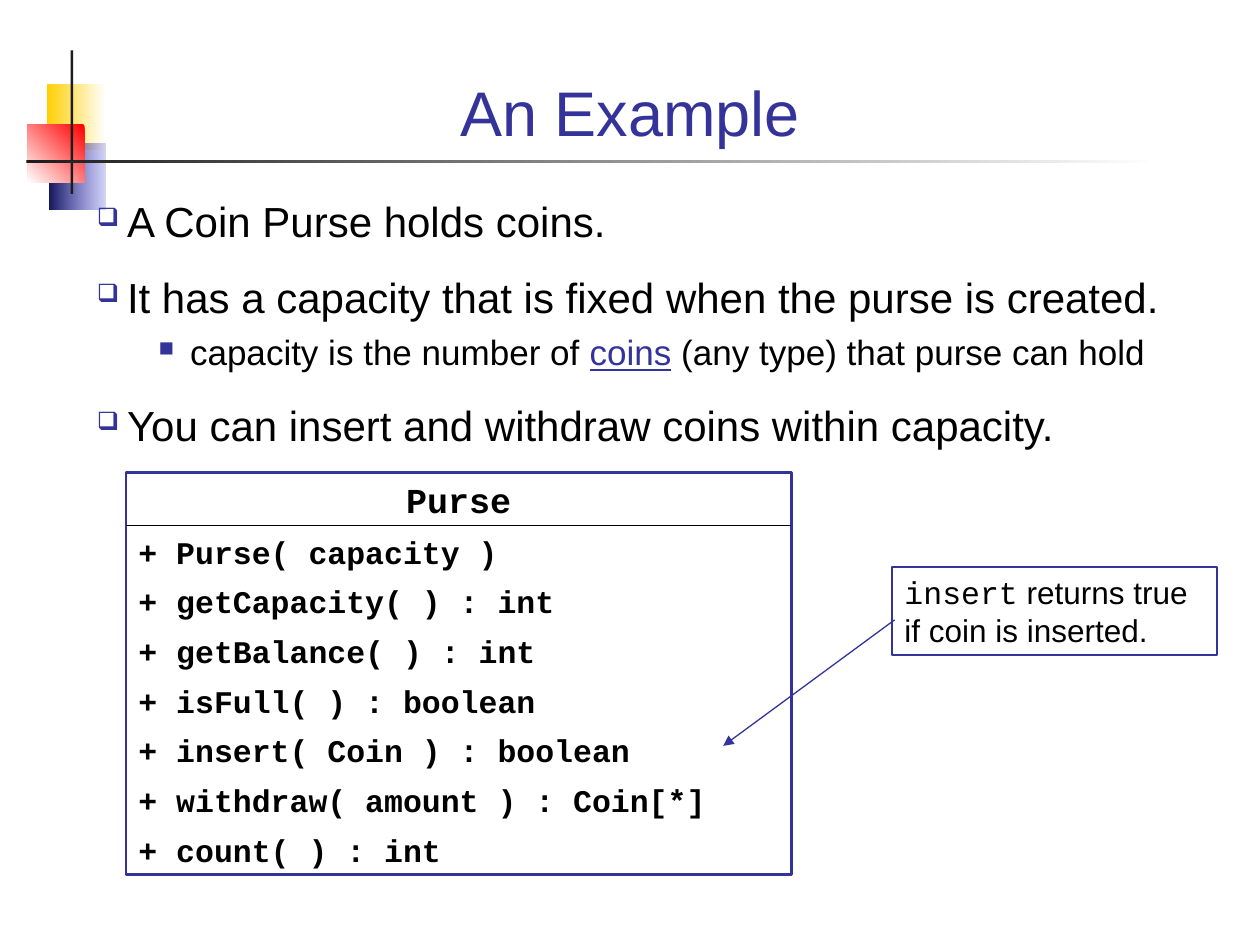
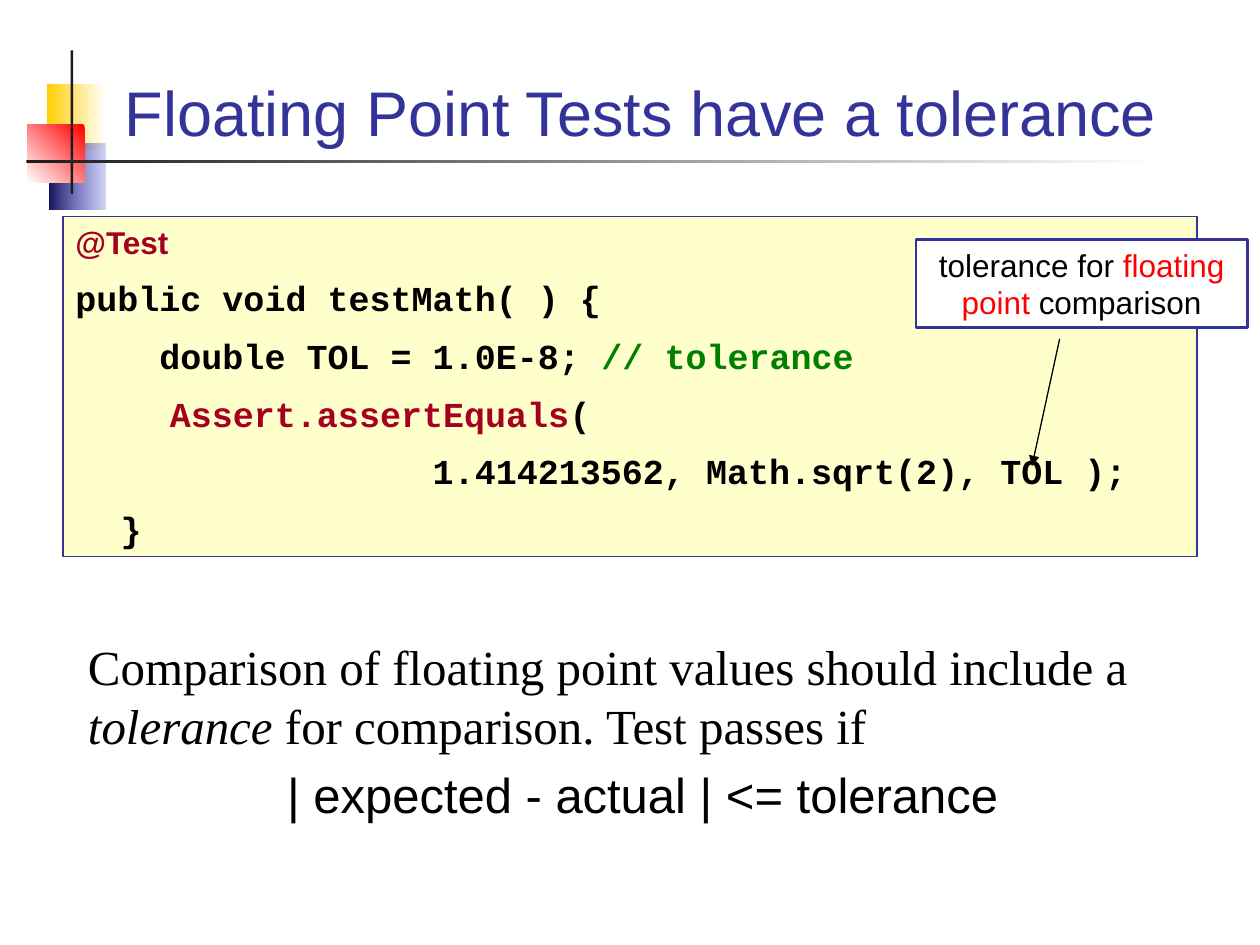
"""Builds two lecture slides: the coin purse class and floating point test tolerance."""
import pptx
import pptx.dml.color
import pptx.enum.shapes
import pptx.enum.text
import pptx.oxml.ns
import pptx.util
from lxml import etree

COLORS = {
    "ink": "000000", "accent": "333399", "paper": "FFFFFF", "code": "FFFFCC",
    "keyword": "A50021", "comment": "008000", "alert": "FF0000", "rule": "1C1C1C",
    "yellow": "FFCF01", "navy": "17175E", "blue": "3333CC",
}
SANS, MONO, SERIF = "Arial", "Courier New", "Times New Roman"
COLUMNS, ROWS = 100, 75
CENTER = pptx.enum.text.PP_ALIGN.CENTER
TOP, BOTTOM = pptx.enum.text.MSO_ANCHOR.TOP, pptx.enum.text.MSO_ANCHOR.BOTTOM
RECTANGLE = pptx.enum.shapes.MSO_SHAPE.RECTANGLE


def rgb(name):
    return pptx.dml.color.RGBColor.from_string(COLORS[name])


def add_xml(parent, tag, **attributes):
    return etree.SubElement(parent, pptx.oxml.ns.qn(tag), attributes)


def run(text, **style):
    return text, style


def para(*runs, **layout):
    return runs, layout


class Deck:
    def __init__(self):
        self.show = pptx.Presentation()
        self.show.slide_width = pptx.util.Inches(10)
        self.show.slide_height = pptx.util.Inches(7.5)
        self.slide = None

    def x(self, columns):
        return round(self.show.slide_width * columns / COLUMNS)

    def y(self, rows):
        return round(self.show.slide_height * rows / ROWS)

    def place(self, left, top, width, height):
        return self.x(left), self.y(top), self.x(width), self.y(height)

    def new_slide(self, title, title_width=86.6):
        self.slide = self.show.slides.add_slide(self.show.slide_layouts[6])
        self.gradient((3.7, 6.7, 4.7, 5.2), "yellow", "paper")
        self.gradient((3.9, 11.4, 4.5, 5.2), "navy", "blue", end_opacity=20)
        self.gradient((2.2, 9.9, 4.5, 4.6), "alert", "paper", angle=225)
        self.box((5.6, 4, 0.2, 11.4), fill="rule")
        self.gradient((2.1, 12.7, 89.8, 0.2), "rule", "paper")
        self.text((6.7, 2.8, title_width, 9.5), [para(run(title), align=CENTER)],
                  anchor=BOTTOM, size=36, color="accent")

    def box(self, area, fill=None, line=None, weight=0.75):
        shape = self.slide.shapes.add_shape(RECTANGLE, *self.place(*area))
        shape.shadow.inherit = False
        if fill:
            shape.fill.solid()
            shape.fill.fore_color.rgb = rgb(fill)
        else:
            shape.fill.background()
        if line:
            shape.line.color.rgb = rgb(line)
            shape.line.width = pptx.util.Pt(weight)
        else:
            shape.line.fill.background()
        return shape

    def gradient(self, area, start, end, angle=0, end_opacity=None):
        shape = self.box(area)
        shape.fill.gradient()
        shape.fill.gradient_angle = angle
        for stop, color in zip(shape.fill.gradient_stops, (start, end)):
            stop.color.rgb = rgb(color)
        if end_opacity:
            stops = list(shape.element.spPr.iter(pptx.oxml.ns.qn("a:srgbClr")))
            add_xml(stops[-1], "a:alpha", val=str(end_opacity * 1000))

    def text(self, area, paragraphs, anchor=TOP, **style):
        holder = self.slide.shapes.add_textbox(*self.place(*area))
        self.fill_text(holder, paragraphs, anchor, **style)

    def text_box(self, area, paragraphs, fill=None, weight=0.75, **style):
        holder = self.box(area, fill, "accent", weight)
        self.fill_text(holder, paragraphs, TOP, **style)

    def fill_text(self, holder, paragraphs, anchor, **style):
        frame = holder.text_frame
        frame.word_wrap = True
        frame.vertical_anchor = anchor
        for index, (runs, layout) in enumerate(paragraphs):
            paragraph = frame.add_paragraph() if index else frame.paragraphs[0]
            paragraph.alignment = layout.get("align", pptx.enum.text.PP_ALIGN.LEFT)
            if index:
                paragraph.space_before = pptx.util.Pt(layout.get("before", 0))
            self.indent(paragraph, layout)
            for content, changes in runs:
                piece = paragraph.add_run()
                piece.text = content
                self.style_font(piece.font, **{**style, **changes})

    def indent(self, paragraph, layout):
        properties = paragraph._p.get_or_add_pPr()
        if "bullet" in layout:
            margin, hanging = layout["indent"]
            properties.set("marL", str(self.x(margin)))
            properties.set("indent", str(-self.x(hanging)))
            add_xml(add_xml(properties, "a:buClr"), "a:srgbClr", val=COLORS["accent"])
            add_xml(properties, "a:buSzPct", val="60000")
            add_xml(properties, "a:buChar", char=layout["bullet"])
        if "tabs" in layout:
            stops = add_xml(properties, "a:tabLst")
            for position in layout["tabs"]:
                add_xml(stops, "a:tab", pos=str(self.x(position)), algn="l")

    def style_font(self, font, size=18, family=SANS, color="ink",
                   bold=False, italic=False, underline=False):
        font.size = pptx.util.Pt(size)
        font.name = family
        font.color.rgb = rgb(color)
        font.bold = bold
        font.italic = italic
        font.underline = underline

    def line(self, start, end, color="ink", arrow=False):
        connector = self.slide.shapes.add_connector(
            pptx.enum.shapes.MSO_CONNECTOR.STRAIGHT,
            self.x(start[0]), self.y(start[1]), self.x(end[0]), self.y(end[1]))
        connector.line.color.rgb = rgb(color)
        connector.line.width = pptx.util.Pt(0.75)
        if arrow:
            outline = connector.element.spPr.find(pptx.oxml.ns.qn("a:ln"))
            add_xml(outline, "a:tailEnd", type="triangle")
        add_xml(connector.element.spPr, "a:effectLst")


def purse_slide(deck):
    deck.new_slide("An Example")
    point = {"bullet": "❑", "indent": (2.4, 2.4), "before": 15}
    detail = {"bullet": "■", "indent": (7.4, 2.5), "before": 5}
    deck.text((6.7, 15, 86.6, 22.5), [
        para(run("A Coin Purse holds coins."), **point),
        para(run("It has a capacity that is fixed when the purse is created."), **point),
        para(run("capacity is the number of ", size=20),
             run("coins", size=20, color="accent", underline=True),
             run(" (any type) that purse can hold", size=20), **detail),
        para(run("You can insert and withdraw coins within capacity."), **point),
    ], size=24)
    methods = ["Purse( capacity )", "getCapacity( ) : int", "getBalance( ) : int",
               "isFull( ) : boolean", "insert( Coin ) : boolean",
               "withdraw( amount ) : Coin[*]", "count( ) : int"]
    deck.text_box((10, 37.5, 52.8, 31.9),
                  [para(run("Purse", size=20), align=CENTER)]
                  + [para(run("+ " + method), before=6.8) for method in methods],
                  weight=1.5, family=MONO, bold=True)
    deck.line((10, 41.7), (62.8, 41.7))
    deck.text_box((70.8, 45, 25.8, 7), [
        para(run("insert", family=MONO), run(" returns true if coin is inserted."))])
    deck.line((71, 49.2), (57.4, 59.2), "accent", arrow=True)


def tolerance_slide(deck):
    deck.new_slide("Floating Point Tests have a tolerance", title_width=88.3)
    code_lines = [
        [run("@Test", size=18, family=SANS, color="keyword")],
        [run("public void testMath( ) {")],
        [run("    double TOL = 1.0E-8; "), run("// tolerance", color="comment")],
        [run("\t\t"), run("Assert.assertEquals", color="keyword"), run("(")],
        [run("                 1.414213562, Math.sqrt(2), TOL );")],
        [run("\t}")],
    ]
    deck.text_box((5, 17.2, 90, 27),
                  [para(*runs, before=9, tabs=(3.6, 7.5)) for runs in code_lines],
                  fill="code", size=20, family=MONO, bold=True)
    deck.text_box((72.7, 19, 26.3, 7), [
        para(run("tolerance for "), run("floating point", color="alert"),
             run(" comparison"), align=CENTER)], fill="paper", weight=1.5)
    deck.line((84.1, 26.9), (81.9, 37), arrow=True)
    deck.text((6, 50, 90, 15.8), [
        para(run("Comparison of floating point values should include a "),
             run("tolerance", italic=True),
             run(" for comparison. Test passes if")),
        para(run("| expected - actual | <= tolerance", family=SANS),
             align=CENTER, before=5.8),
    ], size=28, family=SERIF)


def main():
    deck = Deck()
    purse_slide(deck)
    tolerance_slide(deck)
    deck.show.save("out.pptx")


if __name__ == "__main__":
    main()
